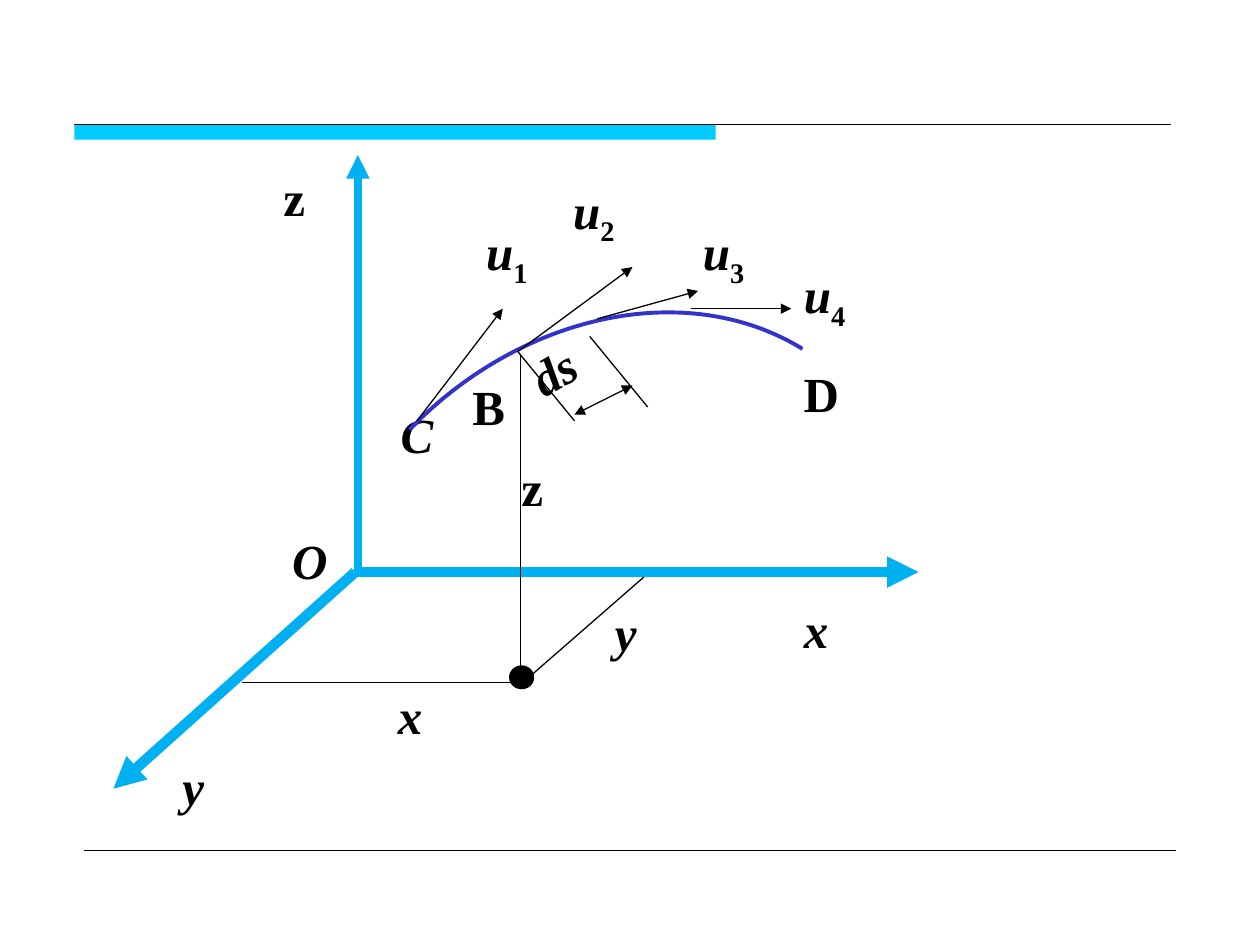
from dataclasses import dataclass

from lxml import etree
from pptx import Presentation
from pptx.dml.color import RGBColor
from pptx.enum import shapes, text
from pptx.oxml import ns
from pptx.util import Pt


@dataclass(frozen=True)
class Theme:
    font: str = "Times New Roman"
    size: float = 28
    ink: RGBColor = RGBColor(0, 0, 0)
    band: RGBColor = RGBColor(0, 0xCC, 0xFF)
    axis: RGBColor = RGBColor(0, 0xB0, 0xF0)
    curve: RGBColor = RGBColor(0x33, 0x33, 0xCC)
    thin: float = 0.75


THEME = Theme()
LABEL_HEIGHT, VECTOR_SIZE = 41, (65.5, 45.4)

# text, left, top, width, italic
LABELS = [
    ("z", 154.8, 89.3, 26.6, False),
    ("x", 452.2, 336.2, 28.1, True),
    ("y", 97.2, 425.5, 26.6, True),
    ("O", 159.8, 296.6, 34.6, True),
    ("x", 220.3, 385.2, 28.1, True),
    ("y", 344.2, 337.7, 32.4, True),
    ("z", 290.9, 254.9, 59, False),
    ("C", 221.8, 224.6, 33.1, True),
    ("D", 452.2, 200.9, 47.5, False),
    ("B", 262.8, 208.8, 33.1, False),
]
VECTOR_LABELS = [(270.7, 120.2), (320.4, 96.5), (394.6, 120.2), (452.2, 144.7)]

# start x, start y, end x, end y
AXES = [
    ((202.3, 326.9, 524.9, 326.9), 6),
    ((203, 326.9, 64.8, 450.7), 6),
    ((204.5, 324.7, 204.5, 88.6), 4.5),
]
PROJECTIONS = [
    (297.4, 202.3, 297.4, 391),
    (138.2, 390.2, 298.8, 390.2),
    (367.9, 329.8, 300.2, 388.8),
]
ARC_LIMITS = [(295.9, 200.9, 328.3, 240.5), (337, 192.2, 370.1, 232.6)]
ARC_SPAN = (328.3, 236.9, 361.4, 220.3)
VELOCITIES = [
    (238.3, 240.5, 287.3, 176.4),
    (295.9, 200.9, 361.4, 152.6),
    (341.3, 182.2, 398.9, 166.3),
    (394.6, 176.4, 452.2, 176.4),
]
# End, two control points and other end of the path from D to C
PATH = [(458.6, 199.4), (393.1, 159.1), (298.8, 178.6), (234, 245.5)]


def add_line(s, ends, color=THEME.ink, width=THEME.thin, heads=()):
    """Straight line; heads names the arrowed ends, headEnd before tailEnd."""
    line = s.shapes.add_connector(
        shapes.MSO_CONNECTOR.STRAIGHT, *(Pt(v) for v in ends))
    line.line.color.rgb = color
    line.line.width = Pt(width)
    for head in heads:
        etree.SubElement(line.line._get_or_add_ln(), ns.qn(f"a:{head}"),
                         type="triangle")
    etree.SubElement(line._element.spPr, ns.qn("a:effectLst"))


def add_filled(s, kind, box, color):
    sp = s.shapes.add_shape(kind, *(Pt(v) for v in box))
    sp.shadow.inherit = False
    sp.fill.solid()
    sp.fill.fore_color.rgb = color
    sp.line.fill.background()


def add_label(s, words, box, italic=True, rotation=0, subscript=""):
    sp = s.shapes.add_textbox(*(Pt(v) for v in box))
    sp.rotation = rotation
    tf = sp.text_frame
    tf.word_wrap = True
    tf.vertical_anchor = text.MSO_ANCHOR.TOP
    tf.margin_top = Pt(6.6)
    p = tf.paragraphs[0]
    r = p.add_run()
    r.text = words
    r.font.italic = italic
    if subscript:
        r = p.add_run()
        r.text = subscript
        r.font.italic = False
        r._r.get_or_add_rPr().set("baseline", "-25000")
    p.font.name = THEME.font
    p.font.size = Pt(THEME.size)
    p.font.bold = True
    p.font.color.rgb = THEME.ink


def add_curve(s, points):
    """Open cubic Bezier curve through its end points."""
    start, *rest = [(Pt(x), Pt(y)) for x, y in points]
    builder = s.shapes.build_freeform(*start)
    builder.add_line_segments(rest, close=False)
    sp = builder.convert_to_shape()
    sp.shadow.inherit = False
    sp.fill.background()
    sp.line.color.rgb = THEME.curve
    sp.line.width = Pt(2.25)
    path = sp._element.spPr.find(".//" + ns.qn("a:path"))
    segments = path.findall(ns.qn("a:lnTo"))
    bezier = etree.SubElement(path, ns.qn("a:cubicBezTo"))
    for segment in segments:
        bezier.append(segment[0])
        path.remove(segment)


def add_frame(s):
    add_filled(s, shapes.MSO_SHAPE.RECTANGLE, (42.5, 71.3, 366.5, 8.6),
               THEME.band)
    add_line(s, (42.5, 71.3, 668.9, 71.3))
    add_line(s, (48.2, 486, 671.8, 486), width=0.25)


def main():
    prs = Presentation()
    prs.slide_width, prs.slide_height = Pt(720), Pt(540)
    s = prs.slides.add_slide(prs.slide_layouts[6])
    add_frame(s)
    for words, left, top, width, italic in LABELS:
        add_label(s, words, (left, top, width, LABEL_HEIGHT), italic)
    for ends, width in AXES:
        add_line(s, ends, THEME.axis, width, ["tailEnd"])
    for ends in PROJECTIONS + ARC_LIMITS:
        add_line(s, ends)
    add_filled(s, shapes.MSO_SHAPE.OVAL, (290.9, 380.2, 14.4, 13.7), THEME.ink)
    add_curve(s, PATH)
    add_label(s, "ds", (292.3, 178.6, 80.6, LABEL_HEIGHT), rotation=330)
    add_line(s, ARC_SPAN, heads=["headEnd", "tailEnd"])
    for number, (ends, corner) in enumerate(zip(VELOCITIES, VECTOR_LABELS), 1):
        add_line(s, ends, heads=["tailEnd"])
        add_label(s, "u", corner + VECTOR_SIZE, subscript=str(number))
    prs.save("out.pptx")


if __name__ == "__main__":
    main()
